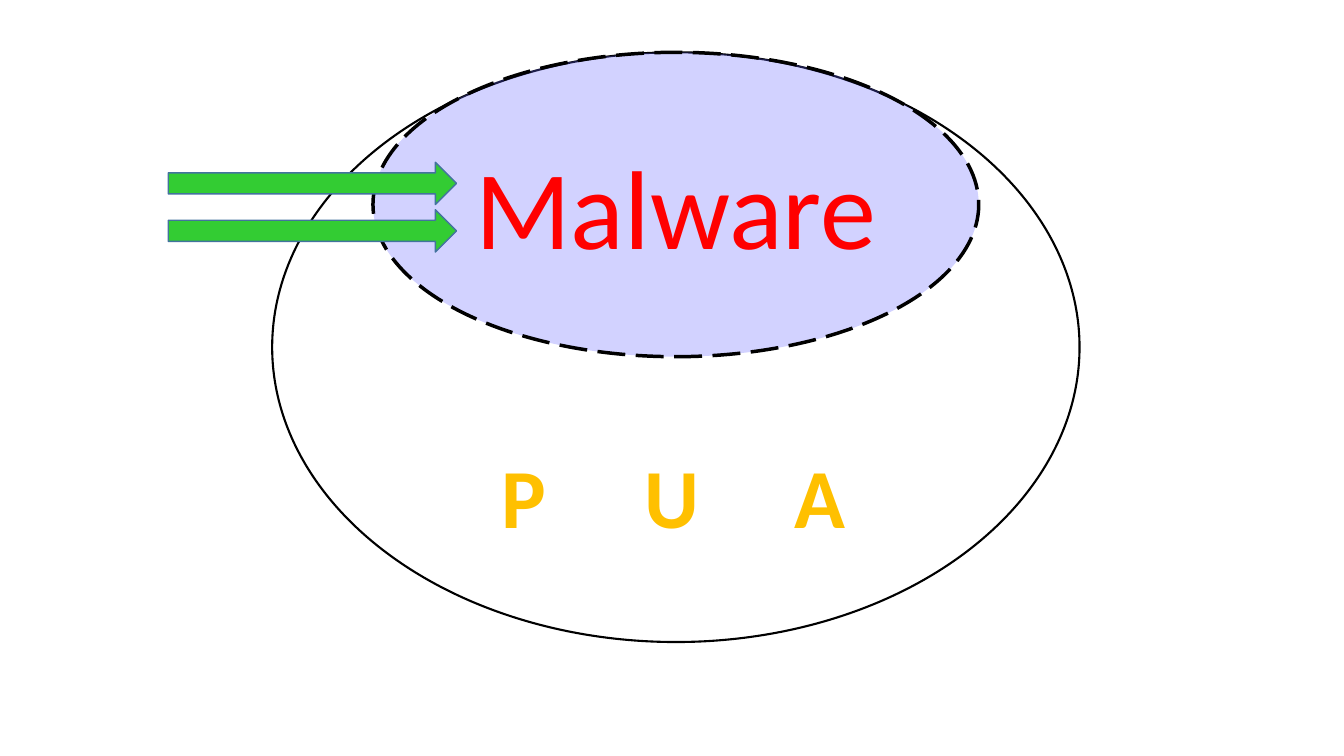
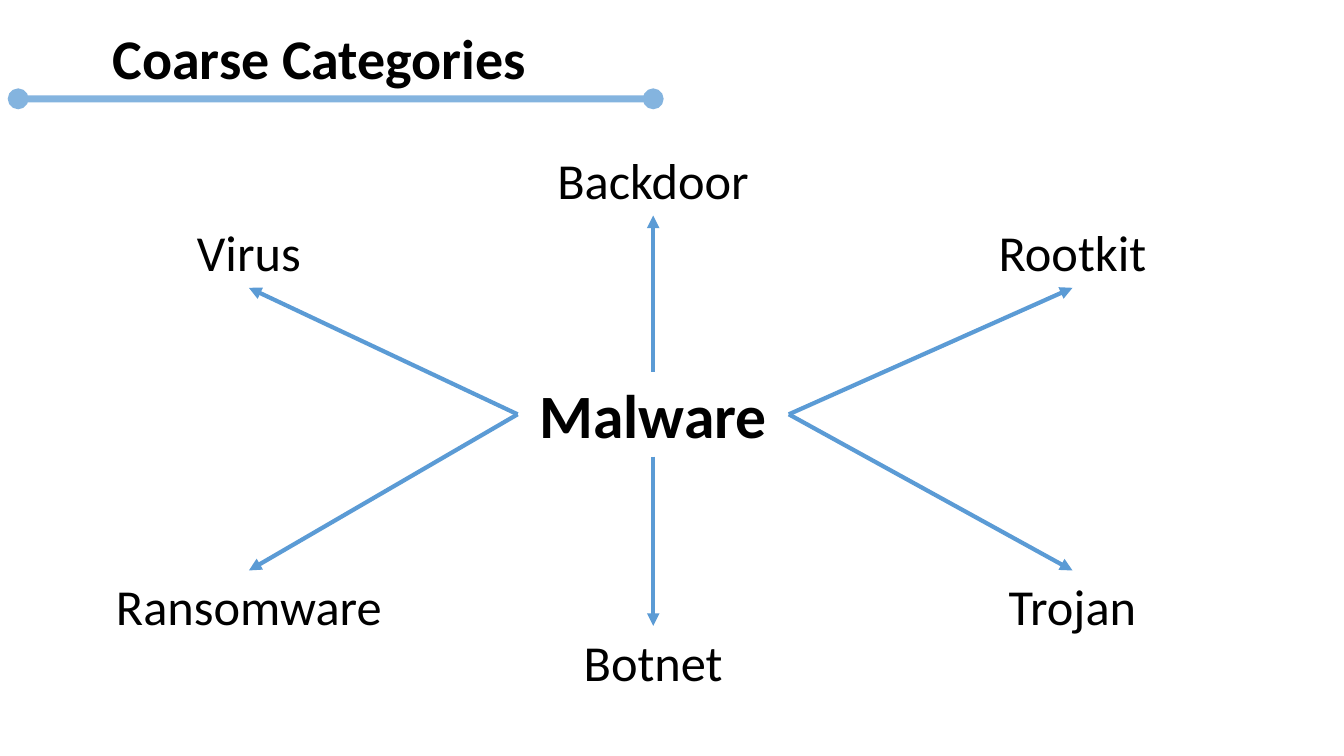
from lxml import etree
from pptx import Presentation
from pptx.dml.color import RGBColor
from pptx.enum.dml import MSO_LINE
from pptx.enum.shapes import MSO_CONNECTOR, MSO_SHAPE
from pptx.enum.text import MSO_ANCHOR, PP_ALIGN
from pptx.oxml.ns import qn
from pptx.util import Pt

LEFT, CENTER = PP_ALIGN.LEFT, PP_ALIGN.CENTER
MIDDLE = MSO_ANCHOR.MIDDLE
OVAL, RIGHT_ARROW = MSO_SHAPE.OVAL, MSO_SHAPE.RIGHT_ARROW
STRAIGHT = MSO_CONNECTOR.STRAIGHT
LONG_DASH = MSO_LINE.LONG_DASH

FONT = "Calibri"
BLACK, WHITE, RED, AMBER = "000000", "FFFFFF", "FF0000", "FFC000"
VIOLET, GREEN, GREEN_EDGE, BLUE = "6666FF", "33CC33", "43739E", "5B9BD5"
color = RGBColor.from_string


def write_text(shape, text, size, text_color=BLACK, bold=False, align=CENTER):
    shape.text_frame.word_wrap = True
    paragraph = shape.text_frame.paragraphs[0]
    paragraph.alignment = align
    run = paragraph.add_run()
    run.text = text
    run.font.name = FONT
    run.font.size = Pt(size)
    run.font.bold = bold
    run.font.color.rgb = color(text_color)
    return paragraph


def add_line(slide, start, end, width, **ends):
    line = slide.shapes.add_connector(
        STRAIGHT, *(Pt(value) for value in (*start, *end)))
    line.line.color.rgb = color(BLUE)
    line.line.width = Pt(width)
    properties = line._element.spPr
    for name, kind in ends.items():
        etree.SubElement(properties.ln, qn(f"a:{name}"), type=kind)
    etree.SubElement(properties, qn("a:effectLst"))
    return line


presentation = Presentation()
presentation.slide_width, presentation.slide_height = Pt(960), Pt(540)
blank = presentation.slide_layouts[6]

# Slide 1: malware as a part of the potentially unwanted applications
slide = presentation.slides.add_slide(blank)
shapes = []
for kind, left, top, width, height, fill, edge, weight in (
        (OVAL, 194.4, 37.4, 576.7, 421.2, WHITE, BLACK, 1.5),
        (OVAL, 266.4, 37.4, 432.7, 217.4, VIOLET, BLACK, 2.5),
        (RIGHT_ARROW, 120.2, 149.8, 205.9, 30.2, GREEN, GREEN_EDGE, 1),
        (RIGHT_ARROW, 120.2, 115.9, 205.9, 30.2, GREEN, GREEN_EDGE, 1)):
    shape = slide.shapes.add_shape(kind, Pt(left), Pt(top), Pt(width), Pt(height))
    shape.shadow.inherit = False
    shape.fill.solid()
    shape.fill.fore_color.rgb = color(fill)
    shape.line.color.rgb = color(edge)
    shape.line.width = Pt(weight)
    shapes.append(shape)

malware_oval = shapes[1]
malware_oval.line.dash_style = LONG_DASH
malware_oval.text_frame.vertical_anchor = MIDDLE
write_text(malware_oval, "Malware", 80, RED)

# Spaced letters, set on centred tab stops
letters = slide.shapes.add_textbox(Pt(358.5), Pt(317.5), Pt(260), Pt(74))
frame = letters.text_frame
frame.margin_left = frame.margin_right = frame.margin_top = frame.margin_bottom = 0
paragraph = write_text(letters, "P\tU\tA", 60, AMBER, True, LEFT)
tabs = etree.SubElement(paragraph._p.get_or_add_pPr(), qn("a:tabLst"))
for position in (121.5, 227):
    etree.SubElement(tabs, qn("a:tab"), pos=str(Pt(position)), algn="ctr")

# Slide 2: title with its rule
slide = presentation.slides.add_slide(blank)
title = slide.shapes.add_textbox(Pt(73.4), Pt(13), Pt(461.5), Pt(55.4))
write_text(title, "Coarse Categories", 40, bold=True, align=LEFT)
title_rule = add_line(slide, (13, 70.6), (466.6, 70.6), 5,
                      headEnd="oval", tailEnd="oval")

# Hub in the middle
hub_x, hub_top, hub_width, hub_height = 466.6, 265.7, 193.7, 60.5
hub_left, hub_right = hub_x - hub_width / 2, hub_x + hub_width / 2
hub_middle, hub_bottom = hub_top + hub_height / 2, hub_top + hub_height
hub = slide.shapes.add_textbox(
    Pt(hub_left), Pt(hub_top), Pt(hub_width), Pt(hub_height))
write_text(hub, "Malware", 44, bold=True)

# Categories, each with an arrow from the hub to its near edge
label_width, label_height = 210, 51
left_x, right_x = 177.8, 766.1
for name, x, top, start in (
        ("Virus", left_x, 154.6, (hub_left, hub_middle)),
        ("Ransomware", left_x, 407.5, (hub_left, hub_middle)),
        ("Rootkit", right_x, 154.6, (hub_right, hub_middle)),
        ("Trojan", right_x, 407.5, (hub_right, hub_middle)),
        ("Backdoor", hub_x, 103, (hub_x, hub_top)),
        ("Botnet", hub_x, 447.1, (hub_x, hub_bottom))):
    label = slide.shapes.add_textbox(
        Pt(x - label_width / 2), Pt(top), Pt(label_width), Pt(label_height))
    write_text(label, name, 36)
    near_edge = top + label_height if top < hub_top else top
    add_line(slide, start, (x, near_edge), 3, tailEnd="triangle")

# Opacity of the inner oval and the title rule, in thousandths of a percent
for parent, opacity in ((malware_oval._element.spPr, 29000),
                        (title_rule._element.spPr.ln, 75000)):
    fill_color = parent.find(qn("a:solidFill"))[0]
    etree.SubElement(fill_color, qn("a:alpha"), val=str(opacity))

presentation.save("out.pptx")
